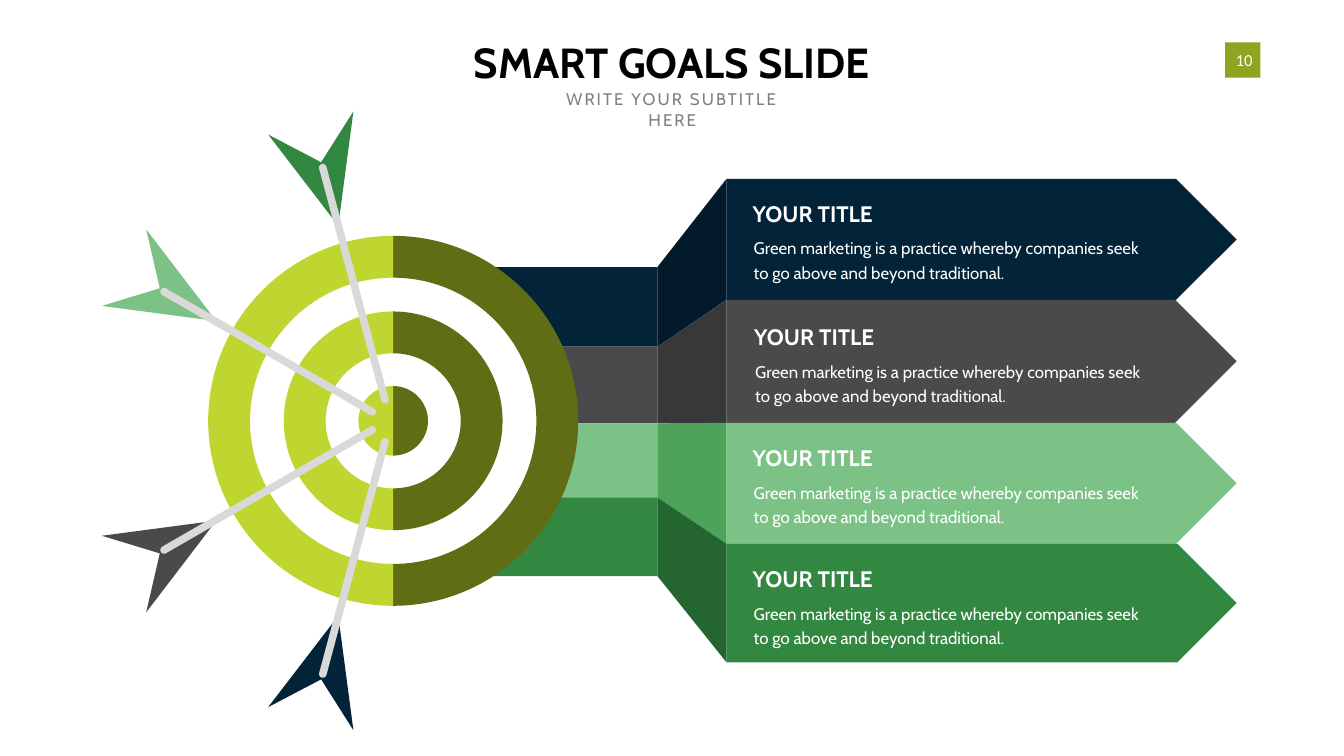
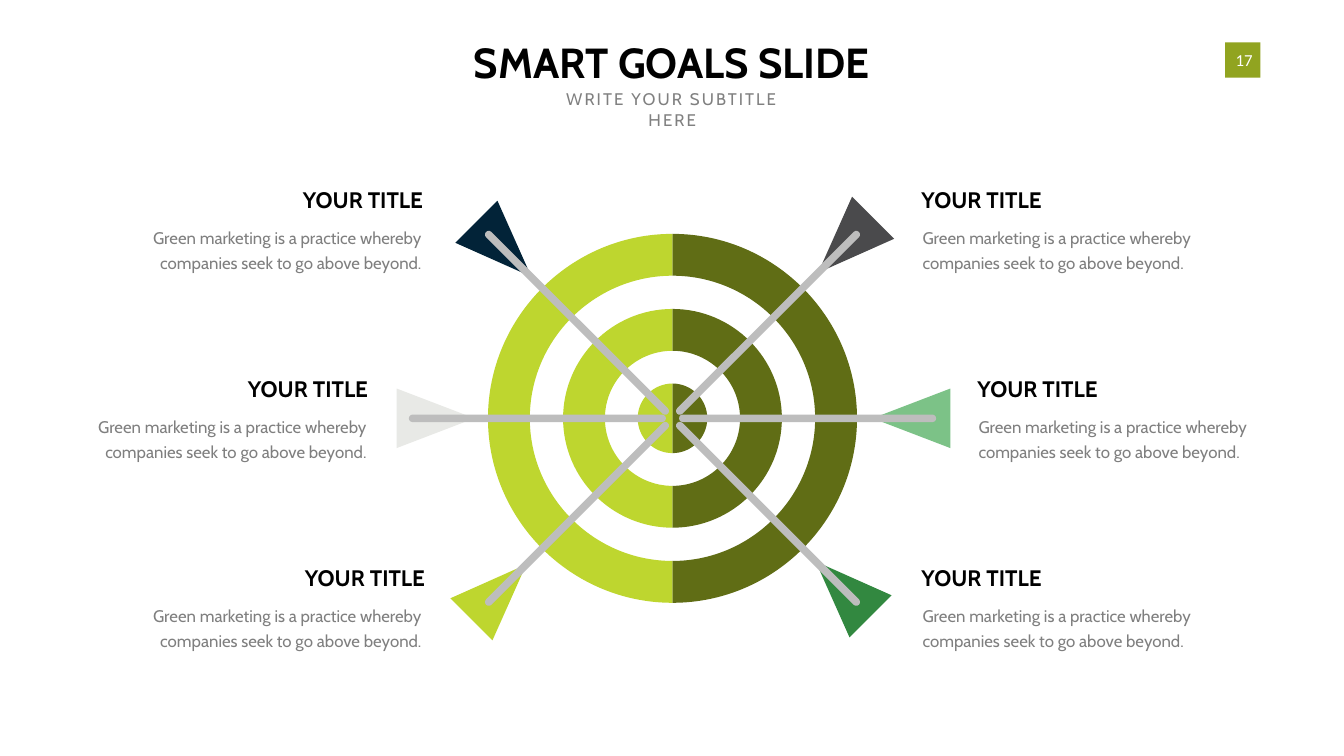
from itertools import islice, pairwise
from math import cos, radians, sin

from lxml import etree
from pptx import Presentation
from pptx.dml.color import RGBColor
from pptx.enum.shapes import MSO_SHAPE
from pptx.enum.text import MSO_ANCHOR, MSO_AUTO_SIZE, PP_ALIGN
from pptx.oxml.ns import qn
from pptx.util import Inches, Pt

RECTANGLE = MSO_SHAPE.RECTANGLE
ROUNDED = MSO_SHAPE.ROUNDED_RECTANGLE
OVAL = MSO_SHAPE.OVAL
BANNER = MSO_SHAPE.PENTAGON
TOP, MIDDLE = MSO_ANCHOR.TOP, MSO_ANCHOR.MIDDLE
LEFT, CENTER, RIGHT = PP_ALIGN.LEFT, PP_ALIGN.CENTER, PP_ALIGN.RIGHT
GROW = MSO_AUTO_SIZE.SHAPE_TO_FIT_TEXT

FONT = "Cabin"
WHITE, BLACK = "FFFFFF", "000000"
NAVY, CHARCOAL, MINT, GREEN = "022338", "4A4A4C", "7CC287", "328840"
LIME, OLIVE, BADGE = "BED62F", "606D15", "91A420"
PALE, SUBTITLE_GRAY, BODY_GRAY = "E8E9E6", "808080", "7F7F7F"
SHAFT_LIGHT, SHAFT_GRAY = "D9D9D9", "BDBDBD"

TITLE_HEIGHT = 0.64
SHAFT_THICKNESS = 0.15
CURVE_PULL = 0.55

PLATE_LEFT, PLATE_WIDTH = 14.41, 10.12
STEM_LEFT, FOLD_LEFT = 7.8, 13.04
PLATE_EDGES = [3.55, 5.95, 8.39, 10.79, 13.14]
STEM_EDGES = [5.3, 6.88, 8.4, 9.87, 11.43]
BANDS = [
    (NAVY, "021A2A", 14.83, 3.91),
    (CHARCOAL, "383839", 14.86, 6.36),
    (MINT, "4CA359", 14.83, 8.76),
    (GREEN, "256630", 14.83, 11.16),
]
BAND_TEXT = "Green marketing is a practice whereby companies seek to go above and beyond traditional."
NOTE_TEXT = "Green marketing is a practice whereby companies seek to go above beyond."

STEEP_FLETCH = [(5.32, 2.67), (6.37, 3.22), (7.01, 2.21), (6.71, 4.48)]
FLAT_FLETCH = [(2.02, 6.07), (3.17, 5.72), (2.9, 4.55), (4.29, 6.37)]
MIRRORED_DARTS = [
    (STEEP_FLETCH, 7.02, 5.63, 255, GREEN, NAVY),
    (FLAT_FLETCH, 5.32, 6.98, 210, MINT, CHARCOAL),
]
RADIAL_DARTS = [
    (0, 1, 17.31, 8.3, MINT),
    (0, -1, 9.41, 8.3, PALE),
    (315, 1, 16.23, 5.41, CHARCOAL),
    (315, -1, 10.44, 11.2, LIME),
    (45, 1, 16.18, 11.14, GREEN),
    (45, -1, 10.54, 5.49, NAVY),
]
NOTE_ROWS = [
    (3.64, 5.81, 18.18, 2.68),
    (7.39, 4.72, 19.29, 2.68),
    (11.14, 5.81, 18.18, 2.72),
]


def rgb(value):
    return RGBColor.from_string(value)


def inches(*values):
    return [Inches(value) for value in values]


def paint(shape, color):
    shape.shadow.inherit = False
    shape.fill.solid()
    shape.fill.fore_color.rgb = rgb(color)
    shape.line.fill.background()


def add_block(page, kind, left, top, width, height, color):
    block = page.shapes.add_shape(kind, *inches(left, top, width, height))
    paint(block, color)
    return block


def add_outline(page, contours, color):
    first, *others = [[inches(*point) for point in contour] for contour in contours]
    builder = page.shapes.build_freeform(*first[0])
    builder.add_line_segments(first[1:], close=True)
    for contour in others:
        builder.move_to(*contour[0])
        builder.add_line_segments(contour[1:], close=True)
    outline = builder.convert_to_shape()
    paint(outline, color)
    return outline


def write(box, text, size, color, align, bold=False, wrap=False, anchor=TOP, font=FONT):
    frame = box.text_frame
    frame.word_wrap = wrap
    frame.vertical_anchor = anchor
    para = frame.paragraphs[0]
    para.add_run().text = text
    para.alignment = align
    para.font.name = font
    para.font.size = Pt(size)
    para.font.bold = bold
    para.font.color.rgb = rgb(color)
    return para


def add_text(page, left, top, width, height, *args, **options):
    box = page.shapes.add_textbox(*inches(left, top, width, height))
    box.text_frame.auto_size = GROW
    return box, write(box, *args, **options)


def add_header(page, number):
    badge = add_block(page, RECTANGLE, 24.3, 0.84, 0.7, 0.7, BADGE)
    para = write(badge, number, 24, WHITE, CENTER, anchor=MIDDLE, font="Calibri")
    para._p.get_or_add_pPr().set("marL", str(Inches(0.06)))

    title = page.shapes.title
    title.left, title.top, title.width, title.height = inches(9.03, 0.67, 8.59, 1.11)
    title.text_frame.auto_size = GROW
    write(title, "SMART GOALS SLIDE", 60, BLACK, CENTER, bold=True)

    _, para = add_text(page, 10.62, 1.72, 5.43, 0.5, "WRITE YOUR SUBTITLE HERE",
                       24, SUBTITLE_GRAY, CENTER, wrap=True)
    para.runs[0]._r.get_or_add_rPr().set("spc", "300")


def add_note(page, left, top, width, body_shift, body_drop, body_width, text,
             title_color, body_color, align=LEFT):
    add_text(page, left, top, width, TITLE_HEIGHT, "YOUR TITLE", 32, title_color,
             align, bold=True, anchor=MIDDLE)
    box, para = add_text(page, left - body_shift, top + body_drop, body_width, 1.17,
                         text, 24, body_color, align, wrap=True)
    frame = box.text_frame
    frame.margin_left = frame.margin_right = Inches(0.24)
    frame.margin_top = frame.margin_bottom = Inches(0.12)
    para.line_spacing = Pt(35)


def half_circle(center_x, center_y, radius, side):
    pull = CURVE_PULL
    unit_points = [(0, -1), (pull, -1), (1, -pull), (1, 0), (1, pull), (pull, 1), (0, 1)]
    return [(center_x + side * radius * x, center_y + radius * y) for x, y in unit_points]


def half_ring(center_x, center_y, outer, inner, side):
    ring = half_circle(center_x, center_y, outer, side)
    if inner:
        ring += reversed(half_circle(center_x, center_y, inner, side))
    return ring


def bend(lines):
    for _ in range(2):
        controls = list(islice(lines, 3))
        curve = etree.Element(qn("a:cubicBezTo"))
        controls[0].addprevious(curve)
        for line in controls:
            curve.append(line[0])
            line.getparent().remove(line)


def add_target(page, center_x, center_y, backing, rings):
    add_block(page, OVAL, center_x - backing, center_y - backing,
              2 * backing, 2 * backing, WHITE)
    for side, color in ((1, OLIVE), (-1, LIME)):
        half = add_outline(page, [half_ring(center_x, center_y, outer, inner, side)
                                  for outer, inner in rings], color)
        lines = iter(list(half._element.iter(qn("a:lnTo"))))
        for _, inner in rings:
            bend(lines)
            if inner:
                next(lines)
                bend(lines)


def add_shaft(page, center_x, center_y, length, angle, color):
    shaft = add_block(page, ROUNDED, center_x - length / 2,
                      center_y - SHAFT_THICKNESS / 2, length, SHAFT_THICKNESS, color)
    shaft.adjustments[0] = 0.5
    shaft.rotation = angle


def add_bands(page):
    plates, stems = list(pairwise(PLATE_EDGES)), list(pairwise(STEM_EDGES))
    for (color, *_), (top, bottom) in zip(BANDS, plates):
        add_block(page, BANNER, PLATE_LEFT, top, PLATE_WIDTH, bottom - top, color)
    for (color, *_), (top, bottom) in zip(BANDS, stems):
        add_block(page, RECTANGLE, STEM_LEFT, top, FOLD_LEFT - STEM_LEFT, bottom - top, color)
    for (_, fold_color, *_), plate, stem in zip(BANDS, plates, stems):
        add_outline(page, [[(FOLD_LEFT, stem[0]), (PLATE_LEFT, plate[0]),
                            (PLATE_LEFT, plate[1]), (FOLD_LEFT, stem[1])]], fold_color)


def add_mirrored_darts(page, axis):
    for fletch, x, y, angle, upper_color, lower_color in MIRRORED_DARTS:
        add_outline(page, [fletch], upper_color)
        add_shaft(page, x, y, 4.92, angle, SHAFT_LIGHT)
        add_outline(page, [[(px, 2 * axis - py) for px, py in fletch]], lower_color)
        add_shaft(page, x, 2 * axis - y, 4.92, 540 - angle, SHAFT_LIGHT)


def add_radial_darts(page, center_x, center_y):
    for angle, side, tip_x, tip_y, color in RADIAL_DARTS:
        along_x, along_y = side * cos(radians(angle)), side * sin(radians(angle))
        corners = [(tip_x + 1.54 * along_x - half * along_y,
                    tip_y + 1.54 * along_y + half * along_x) for half in (0.59, -0.59)]
        add_outline(page, [[(tip_x, tip_y), *corners]], color)
        add_shaft(page, center_x + 2.68 * along_x, center_y + 2.68 * along_y,
                  5.1, angle, SHAFT_GRAY)


def build_banner_page(page):
    add_bands(page)
    add_header(page, "10")
    add_target(page, 7.8, 8.35, 3.21, [(0.69, 0), (2.17, 1.34), (3.67, 2.84)])
    add_mirrored_darts(page, 8.35)
    for _, _, left, top in BANDS:
        add_note(page, left, top, 2.68, 0.12, 0.61, 8.39, BAND_TEXT, WHITE, WHITE)


def build_radial_page(page):
    add_header(page, "17")
    add_target(page, 13.34, 8.3, 3.2, [(0.69, 0), (2.17, 1.34), (3.66, 2.83)])
    add_radial_darts(page, 13.34, 8.3)
    for top, left_side, right_side, width in NOTE_ROWS:
        for left, shift, align in ((left_side, 3.31, RIGHT), (right_side, 0.12, LEFT)):
            add_note(page, left, top, width, shift, 0.68, 6.1, NOTE_TEXT,
                     BLACK, BODY_GRAY, align)


def main():
    deck = Presentation()
    deck.slide_width, deck.slide_height = inches(26.66, 15)
    for build in (build_banner_page, build_radial_page):
        build(deck.slides.add_slide(deck.slide_layouts[5]))
    deck.save("out.pptx")


if __name__ == "__main__":
    main()
